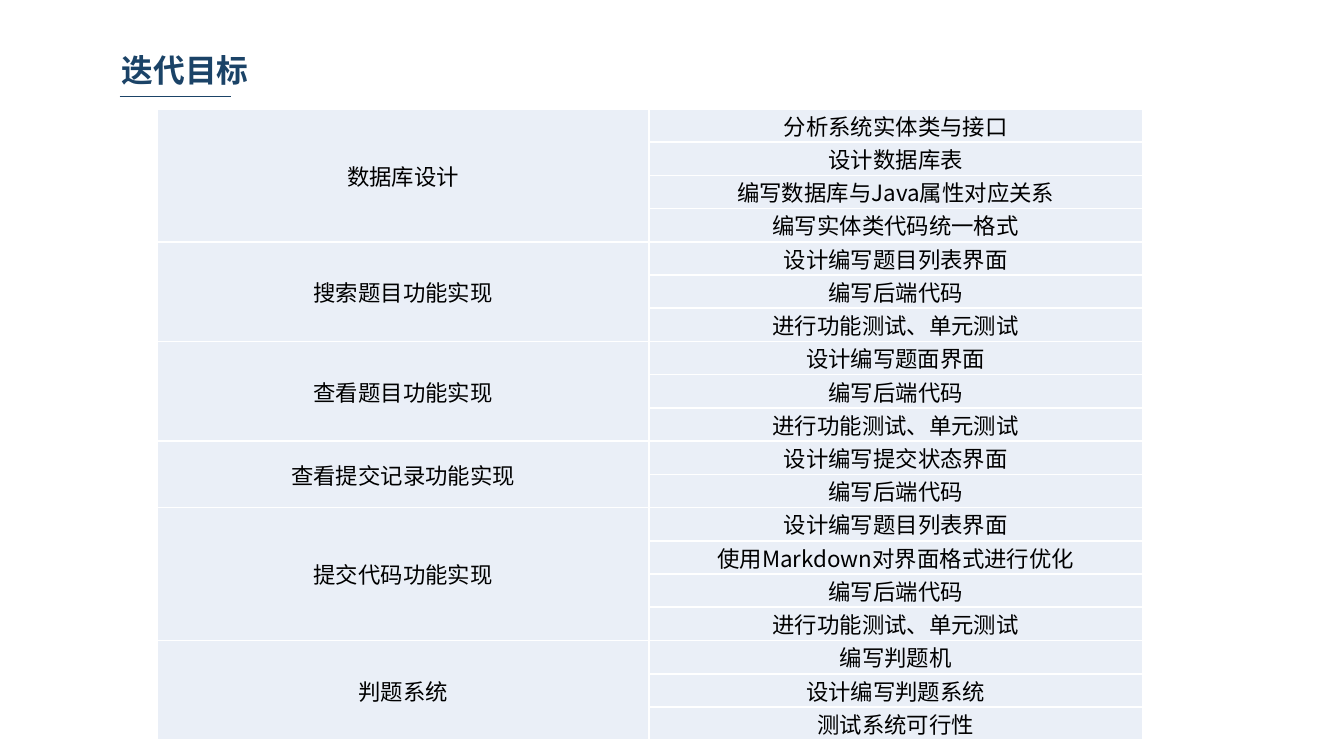
from dataclasses import dataclass

from lxml.etree import SubElement
from pptx import Presentation
from pptx.dml.color import RGBColor
from pptx.enum.shapes import MSO_CONNECTOR
from pptx.enum.text import MSO_ANCHOR, PP_ALIGN
from pptx.oxml.ns import qn
from pptx.slide import Slide
from pptx.table import Table, _Cell
from pptx.text.text import _Run
from pptx.util import Inches, Pt

FONT = "Noto Sans CJK SC"
NAVY = RGBColor(0x1B, 0x43, 0x67)
BLACK = RGBColor(0x00, 0x00, 0x00)
WHITE = RGBColor(0xFF, 0xFF, 0xFF)
PALE_BLUE = RGBColor(0xEA, 0xEF, 0xF7)


@dataclass(frozen=True)
class Goal:
    name: str
    tasks: tuple[str, ...]


BACKEND = "编写后端代码"
TESTING = "进行功能测试、单元测试"
LIST_PAGE = "设计编写题目列表界面"

GOALS = (
    Goal("数据库设计", ("分析系统实体类与接口", "设计数据库表",
                   "编写数据库与Java属性对应关系", "编写实体类代码统一格式")),
    Goal("搜索题目功能实现", (LIST_PAGE, BACKEND, TESTING)),
    Goal("查看题目功能实现", ("设计编写题面界面", BACKEND, TESTING)),
    Goal("查看提交记录功能实现", ("设计编写提交状态界面", BACKEND)),
    Goal("提交代码功能实现", (LIST_PAGE, "使用Markdown对界面格式进行优化", BACKEND, TESTING)),
    Goal("判题系统", ("编写判题机", "设计编写判题系统", "测试系统可行性")),
)


def format_run(run: _Run, size: float, color: RGBColor, bold: bool = False) -> None:
    run.font.size = Pt(size)
    run.font.bold = bold
    run.font.color.rgb = color
    run.font.name = FONT
    SubElement(run.font._element, qn("a:ea"), typeface=FONT)


def draw_heading(slide: Slide, text: str) -> None:
    heading = slide.shapes.add_textbox(Inches(0.78), Inches(0.34), Inches(3.91), Inches(0.36))
    frame = heading.text_frame
    frame.word_wrap = True
    frame.margin_left = frame.margin_right = Inches(0.07)
    frame.margin_top = frame.margin_bottom = Inches(0.04)
    frame.text = text
    format_run(frame.paragraphs[0].runs[0], 17, NAVY, bold=True)

    underline = slide.shapes.add_connector(
        MSO_CONNECTOR.STRAIGHT, Inches(0.89), Inches(0.72), Inches(1.72), Inches(0.72))
    underline.line.color.rgb = NAVY
    underline.line.width = Pt(0.75)
    SubElement(underline._element.spPr, qn("a:effectLst"))


def style_cell(cell: _Cell) -> None:
    properties = cell._tc.get_or_add_tcPr()
    for side in ("lnL", "lnR", "lnT", "lnB"):
        border = SubElement(properties, qn(f"a:{side}"), w=str(Pt(1)))
        SubElement(SubElement(border, qn("a:solidFill")), qn("a:srgbClr"), val=str(WHITE))
    cell.fill.solid()
    cell.fill.fore_color.rgb = PALE_BLUE
    cell.vertical_anchor = MSO_ANCHOR.MIDDLE
    cell.margin_left = cell.margin_right = cell.margin_top = cell.margin_bottom = 0


def write_cell(cell: _Cell, text: str) -> None:
    cell.text_frame.text = text
    paragraph = cell.text_frame.paragraphs[0]
    paragraph.alignment = PP_ALIGN.CENTER
    format_run(paragraph.runs[0], 12, BLACK)


def fill_goal(table: Table, first_row: int, goal: Goal) -> None:
    last_row = first_row + len(goal.tasks) - 1
    for row, task in enumerate(goal.tasks, first_row):
        write_cell(table.cell(row, 1), task)
    table.cell(first_row, 0).merge(table.cell(last_row, 0))
    write_cell(table.cell(first_row, 0), goal.name)


def draw_goals(slide: Slide, goals: tuple[Goal, ...]) -> None:
    row_count = sum(len(goal.tasks) for goal in goals)
    table = slide.shapes.add_table(
        row_count, 2, Inches(1.17), Inches(0.81), Inches(7.33), Inches(4.7)).table
    table.first_row = False
    table.horz_banding = False
    table.columns[0].width = Inches(3.66)
    table.columns[1].width = Inches(3.67)
    for cell in table.iter_cells():
        style_cell(cell)
    first_row = 0
    for goal in goals:
        fill_goal(table, first_row, goal)
        first_row += len(goal.tasks)


def main() -> None:
    """Build the slide of iteration goals and their tasks."""
    presentation = Presentation()
    presentation.slide_width = Inches(10)
    presentation.slide_height = Inches(10 * 9 / 16)
    slide = presentation.slides.add_slide(presentation.slide_layouts[6])
    draw_heading(slide, " 迭代目标")
    draw_goals(slide, GOALS)
    presentation.save("out.pptx")


if __name__ == "__main__":
    main()
